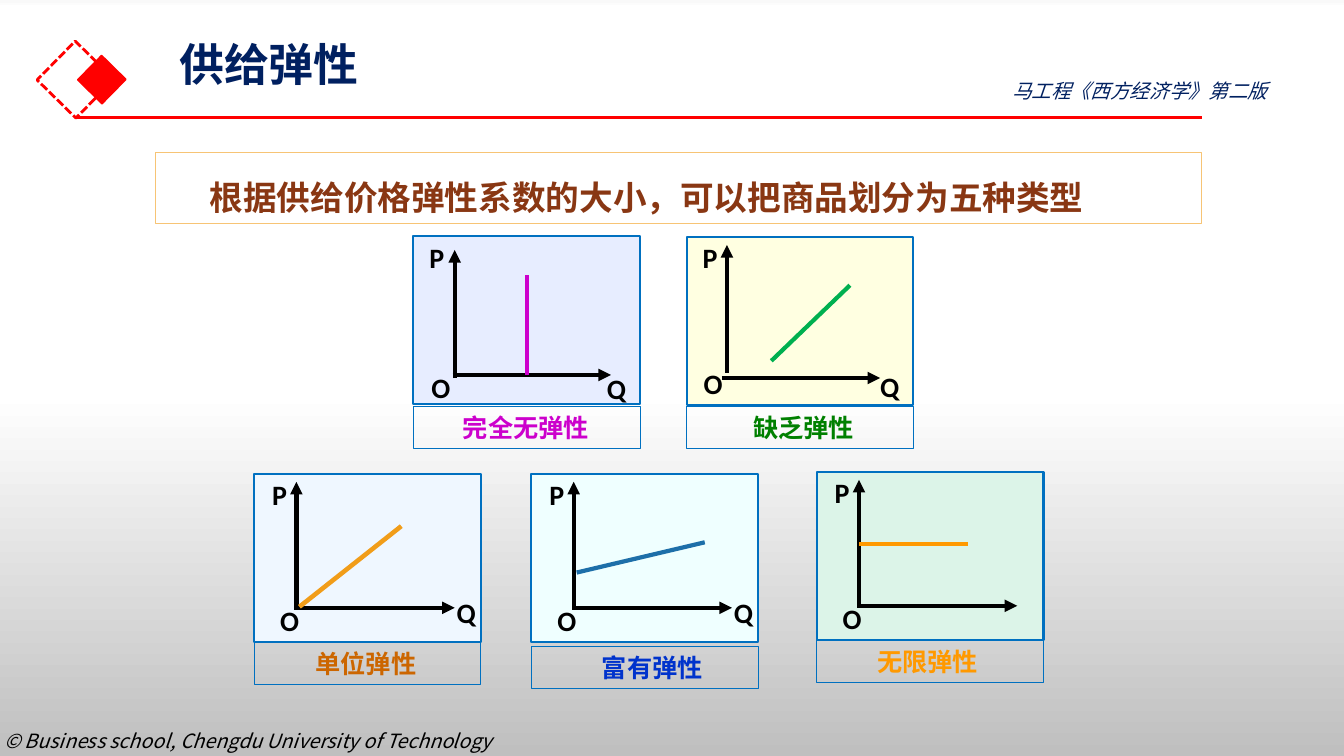
from lxml import etree
from pptx import Presentation
from pptx.dml.color import RGBColor
from pptx.enum.dml import MSO_LINE
from pptx.enum.shapes import MSO_CONNECTOR, MSO_SHAPE
from pptx.enum.text import MSO_ANCHOR, PP_ALIGN
from pptx.oxml.ns import qn
from pptx.util import Inches, Pt

RECT = MSO_SHAPE.RECTANGLE
STRAIGHT = MSO_CONNECTOR.STRAIGHT
DASH = MSO_LINE.SQUARE_DOT
TOP, MIDDLE = MSO_ANCHOR.TOP, MSO_ANCHOR.MIDDLE
LEFT = PP_ALIGN.LEFT

CJK = "Noto Sans CJK SC"
LATIN = "Calibri"
RED, NAVY, BLUE, BLACK = "FF0000", "002060", "0070C0", "000000"
PANEL_W, PANEL_H, CAPTION_H = 2.25, 1.67, 0.42
Y_AXIS, X_AXIS, LETTER = 1.27, 1.57, 0.25
GRADIENT = [(0, "F9F9F9"), (1, "FFFFFF"), (52, "FFFFFF"), (100, "BFBFBF")]

LOWER = {"y_foot": (0.42, 1.35), "x_start": (0.42, 1.33)}
LOWER_LETTERS = {"P": (0.08, 0.08), "O": (0.16, 1.33), "Q": (1.91, 1.25)}
PLOTS = [
    {"at": (4.1, 2.34), "fill": "E7EDFF", "y_foot": (0.41, 1.41), "x_start": (0.39, 1.38),
     "letters": {"P": (0.06, 0.09), "O": (0.08, 1.38), "Q": (1.82, 1.39)},
     "caption": ("完全无弹性", 4.03, 0.49, "CC00CC"),
     "supply": ((5.23, 3.72), (5.23, 2.73), "CC00CC", 3)},
    {"at": (6.81, 2.35), "fill": "FFFFE1", "y_foot": (0.4, 1.35), "x_start": (0.35, 1.4),
     "letters": {"P": (0.06, 0.08), "O": (0.07, 1.33), "Q": (1.82, 1.36)},
     "caption": ("缺乏弹性", 4.03, 0.66, "008000"),
     "supply": ((7.65, 3.58), (8.43, 2.83), "00B050", 3)},
    {"at": (2.52, 4.7), "fill": "EFF7FF", **LOWER, "letters": LOWER_LETTERS,
     "caption": ("单位弹性", 6.37, 0.61, "CC6600"),
     "supply": ((2.97, 6.02), (3.98, 5.22), "F19D19", 3.25)},
    {"at": (5.27, 4.7), "fill": "EFFFFF", **LOWER, "letters": LOWER_LETTERS,
     "caption": ("富有弹性", 6.41, 0.7, "0033CC"),
     "supply": ((5.72, 5.68), (6.99, 5.38), "1D6FA9", 3)},
    {"at": (8.1, 4.68), "fill": "DCF4E8", **LOWER,
     "letters": {k: LOWER_LETTERS[k] for k in "PO"},
     "caption": ("无限弹性", 6.35, 0.6, "FF9900"),
     "supply": ((8.52, 5.4), (9.6, 5.4), "FF9900", 3)},
]


def rgb(value):
    return RGBColor.from_string(value)


class Deck:
    """Draws styled elements on the current slide."""

    def __init__(self, width, height):
        self.prs = Presentation()
        self.prs.slide_width, self.prs.slide_height = Inches(width), Inches(height)
        self.s = self.prs.slides.add_slide(self.prs.slide_layouts[6])

    def background(self, stops):
        fill = self.s.background.fill
        fill.gradient()
        fill.gradient_angle = 270
        gs_list = self.s.element.find(".//" + qn("a:gsLst"))
        for gs in list(gs_list):
            gs_list.remove(gs)
        for pos, color in stops:
            gs = etree.SubElement(gs_list, qn("a:gs"), pos=str(pos * 1000))
            etree.SubElement(gs, qn("a:srgbClr"), val=color)

    def rect(self, x, y, w, h, line, width, fill=None, rotation=0, dash=None):
        sp = self.s.shapes.add_shape(RECT, *map(Inches, (x, y, w, h)))
        sp.shadow.inherit = False
        sp.rotation = rotation
        if fill:
            sp.fill.solid()
            sp.fill.fore_color.rgb = rgb(fill)
        else:
            sp.fill.background()
        sp.line.color.rgb = rgb(line)
        sp.line.width = Pt(width)
        if dash:
            sp.line.dash_style = dash
        return sp

    def line(self, start, end, color, width, arrow=False):
        sp = self.s.shapes.add_connector(STRAIGHT, *map(Inches, (*start, *end)))
        sp.line.color.rgb = rgb(color)
        sp.line.width = Pt(width)
        if arrow:
            ln = sp._element.spPr.find(qn("a:ln"))
            etree.SubElement(ln, qn("a:tailEnd"), type="triangle")
        etree.SubElement(sp._element.spPr, qn("a:effectLst"))

    def label(self, sp, text, color, size, name=CJK, bold=False, italic=False,
              anchor=TOP, insets=(0.1, 0.05, 0.1, 0.05), spacing=None, wrap=True):
        tf = sp.text_frame
        left, top, right, bottom = map(Inches, insets)
        frame = {"word_wrap": wrap, "vertical_anchor": anchor, "margin_left": left,
                 "margin_top": top, "margin_right": right, "margin_bottom": bottom}
        for key, value in frame.items():
            setattr(tf, key, value)
        p = tf.paragraphs[0]
        p.alignment = LEFT
        p.line_spacing = spacing
        r = p.add_run()
        r.text = text
        font = {"name": name, "size": Pt(size), "bold": bold, "italic": italic}
        for key, value in font.items():
            setattr(r.font, key, value)
        r.font.color.rgb = rgb(color)
        etree.SubElement(r._r.rPr, qn("a:ea"), typeface=CJK)

    def text(self, x, y, w, h, text, color, size, **style):
        sp = self.s.shapes.add_textbox(*map(Inches, (x, y, w, h)))
        self.label(sp, text, color, size, **style)

    def plot(self, at, fill, y_foot, x_start, letters, caption, supply):
        x, y = at
        self.rect(x, y, PANEL_W, PANEL_H, BLUE, 1.5, fill)
        foot_x, foot_y = x + y_foot[0], y + y_foot[1]
        self.line((foot_x, foot_y), (foot_x, foot_y - Y_AXIS), BLACK, 3, arrow=True)
        start_x, start_y = x + x_start[0], y + x_start[1]
        self.line((start_x, start_y), (start_x + X_AXIS, start_y), BLACK, 3, arrow=True)
        for letter, (dx, dy) in letters.items():
            self.text(x + dx, y + dy, LETTER, LETTER, letter, BLACK, 20, name=LATIN,
                      bold=True, anchor=MIDDLE, wrap=False)
        name, top, indent, color = caption
        sp = self.rect(x, top, PANEL_W, CAPTION_H, BLUE, 0.75)
        self.label(sp, name, color, 18, name=LATIN, bold=True, anchor=MIDDLE,
                   insets=(indent, 0.05, 0.1, 0.05))
        self.line(*supply)


def main():
    deck = Deck(13.33, 7.5)
    deck.background(GRADIENT)
    deck.text(0, 7.18, 5.25, 0.34, "© Business school, Chengdu University of Technology",
              BLACK, 14, italic=True, insets=(0.04, 0.05, 0.1, 0.05), wrap=False)
    deck.rect(0.48, 0.52, 0.54, 0.54, RED, 2, rotation=314.5, dash=DASH)
    deck.rect(0.84, 0.62, 0.34, 0.34, RED, 1, RED, rotation=314.5)
    deck.line((0.75, 1.17), (11.92, 1.17), RED, 2.25)
    deck.text(1.68, 0.41, 11.5, 1.08, "供给弹性", NAVY, 32, bold=True, anchor=MIDDLE,
              insets=(0.1, 0, 0.1, 0.58), spacing=0.9)
    deck.text(9.94, 0.73, 3.24, 0.34, "马工程《西方经济学》第二版", NAVY, 14, italic=True)
    heading = deck.rect(1.54, 1.51, 10.38, 0.71, "F7C475", 0.75)
    deck.label(heading, "根据供给价格弹性系数的大小，可以把商品划分为五种类型", "893713", 24,
               bold=True, insets=(0.54, 0.05, 0.1, 0.05), spacing=1.5)
    for plot in PLOTS:
        deck.plot(**plot)
    deck.prs.save("out.pptx")


if __name__ == "__main__":
    main()
